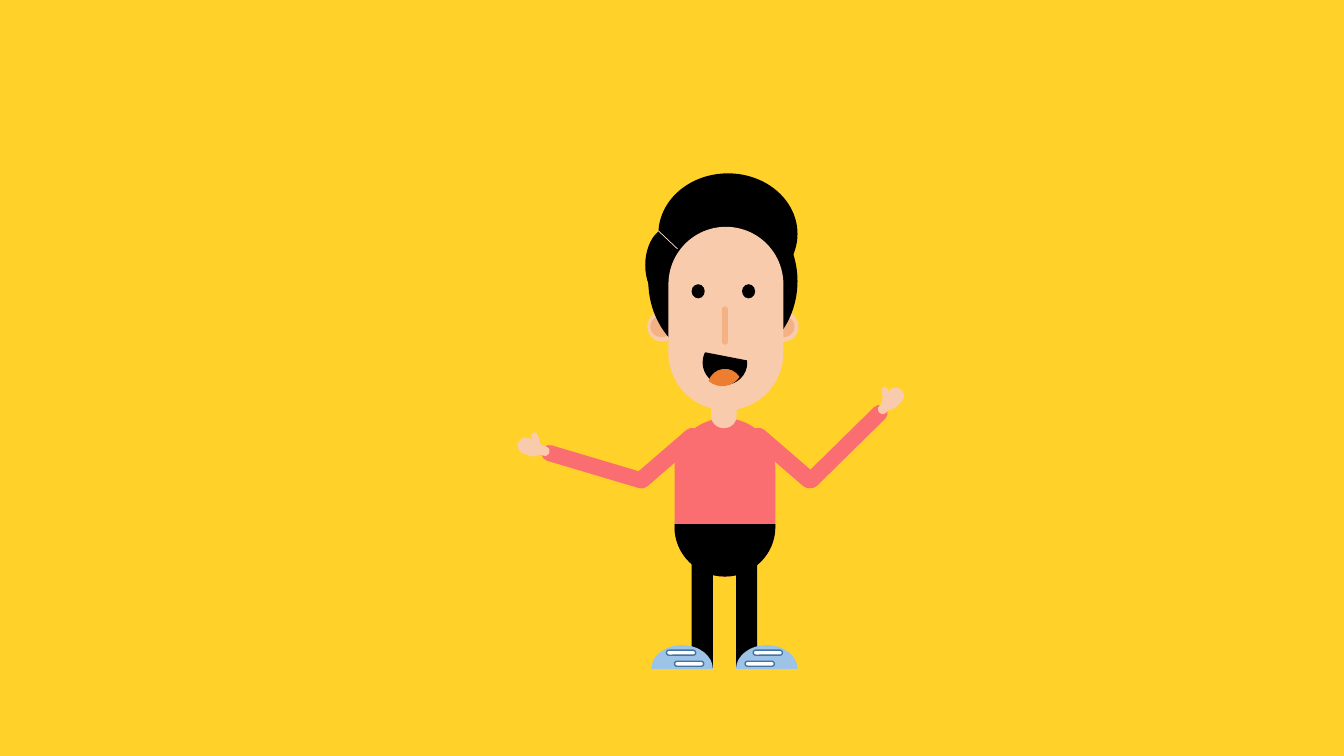
from dataclasses import dataclass
from math import ceil, cos, floor, radians, sin, tan

from lxml.etree import SubElement
from pptx import Presentation
from pptx.dml.color import RGBColor
from pptx.enum.shapes import MSO_CONNECTOR, MSO_SHAPE
from pptx.oxml.ns import qn
from pptx.util import Inches, Pt

CELLS_PER_INCH = 10  # the slide is a grid of 133.33 columns by 75 rows


@dataclass(frozen=True)
class Theme:
    """Colours and line widths of the slide."""
    backdrop: str = "FFD129"
    shirt: str = "FA6E71"
    skin: str = "F8CBAD"
    blush: str = "F4B183"
    parting: str = "FBE5D6"
    black: str = "000000"
    tongue: str = "ED7D31"
    shoe: str = "9DC3E6"
    lace: str = "FFFFFF"
    lace_edge: str = "43739E"
    edge_width: float = 1
    hairline: float = 0.5


def cells(count):
    """Turn grid cells into a length."""
    return Inches(count / CELLS_PER_INCH)


def arc(centre, radii, start, end):
    """Steps along an ellipse: its first point, then Bezier curves per quadrant."""
    def point(angle, pull=0):
        """Point at an angle, moved along the tangent by a share of the radii."""
        a = radians(angle)
        return (centre[0] + radii[0] * (cos(a) - pull * sin(a)),
                centre[1] + radii[1] * (sin(a) + pull * cos(a)))

    quadrants = range(floor(start / 90) + 1, ceil(end / 90))
    stops = [start, *(90 * quadrant for quadrant in quadrants), end]
    steps = [(point(start),)]
    for a, b in zip(stops, stops[1:]):
        pull = 4 / 3 * tan(radians(b - a) / 4)
        steps.append((point(a, pull), point(b, -pull), point(b)))
    return steps


def mirror(left, width, axis):
    """Left edge of the counterpart on the other side of an axis."""
    return 2 * axis - left - width


class Canvas:
    """Holds the theme and the current slide, and draws on a grid."""

    def __init__(self, slide, theme):
        self.slide, self.theme = slide, theme
        backdrop = slide.background.fill
        backdrop.solid()
        backdrop.fore_color.rgb = RGBColor.from_string(theme.backdrop)

    def finish(self, shape, fill, edge=None, turn=0):
        """Apply fill, edge and rotation to a shape."""
        shape.shadow.inherit = False
        shape.fill.solid()
        shape.fill.fore_color.rgb = RGBColor.from_string(fill)
        if edge:
            shape.line.color.rgb = RGBColor.from_string(edge)
            shape.line.width = Pt(self.theme.edge_width)
        else:
            shape.line.fill.background()
        shape.rotation = turn
        return shape

    def preset(self, kind, box, fill, **look):
        """Draw a preset shape in a box of left, top, width, height."""
        shape = self.slide.shapes.add_shape(kind, *map(cells, box))
        return self.finish(shape, fill, **look)

    def oval(self, box, fill):
        """Draw an ellipse."""
        return self.preset(MSO_SHAPE.OVAL, box, fill)

    def block(self, box, fill):
        """Draw a rectangle."""
        return self.preset(MSO_SHAPE.RECTANGLE, box, fill)

    def capsule(self, box, fill, rounding=0.5, **look):
        """Draw a rectangle with rounded ends."""
        shape = self.preset(MSO_SHAPE.ROUNDED_RECTANGLE, box, fill, **look)
        shape.adjustments[0] = rounding
        return shape

    def flesh(self, box, turn=0):
        """Draw a skin-coloured capsule with an edge of the same colour."""
        skin = self.theme.skin
        return self.capsule(box, skin, rounding=0.476, edge=skin, turn=turn)

    def outline(self, steps, fill, **look):
        """Draw a closed outline; one-point steps are lines, others curves."""
        corners = [(cells(x), cells(y)) for step in steps for x, y in step]
        builder = self.slide.shapes.build_freeform(*corners[0], scale=1.0)
        builder.add_line_segments(corners[1:], close=True)
        shape = builder.convert_to_shape()
        segments = iter(list(shape._element.iter(qn("a:lnTo"))))
        for step in steps[1:]:
            first, *others = [next(segments) for _ in step]
            if others:
                first.tag = qn("a:cubicBezTo")
            for other in others:
                first.append(other[0])
                other.getparent().remove(other)
        return self.finish(shape, fill, **look)

    def stroke(self, start, end, colour, width):
        """Draw a straight line."""
        line = self.slide.shapes.add_connector(
            MSO_CONNECTOR.STRAIGHT, *map(cells, (*start, *end)))
        line.line.color.rgb = RGBColor.from_string(colour)
        line.line.width = Pt(width)
        SubElement(line._element.spPr, qn("a:effectLst"))


def draw_head(canvas):
    """Draw neck, ears, hair and face."""
    theme = canvas.theme
    canvas.flesh((70.6, 39.6, 2.4, 2.8))
    canvas.oval((64, 22.5, 5, 7.6), theme.black)
    for ear in (64.2, 76.3):
        canvas.oval((ear, 30.9, 2.9, 3), theme.skin)
        canvas.oval((ear + 0.3, 31.35, 2.2, 2.1), theme.blush)
    canvas.oval((65.3, 17.2, 13.8, 12), theme.black)
    canvas.oval((64.3, 19.8, 14.8, 16.2), theme.black)
    canvas.capsule((66.3, 22.5, 11.4, 18.2), theme.skin)
    canvas.stroke((65.3, 22.9), (67.2, 24.7), theme.parting, theme.hairline)
    for eye in (68.6, 73.6):
        canvas.oval((eye, 28.2, 1.3, 1.4), theme.black)
    canvas.capsule((71.6, 30.4, 0.6, 3.8), theme.blush)

    mouth = arc((71.75, 35.95), (2.15, 2.15), -15, 195)
    canvas.outline(mouth, theme.black, edge=theme.black, turn=11)
    tongue = (arc((71.8, 38.3), (1.7, 1.7), 204.4, 335.6)
              + arc((71.8, 36.24), (2.06, 2.06), 41.3, 138.7))
    canvas.outline(tongue, theme.tongue, turn=-7.5)


def draw_leg(canvas, place):
    """Draw a leg with its laced shoe; place maps left and width to a left edge."""
    theme = canvas.theme
    canvas.block((place(68.6, 2.1), 54, 2.1, 12.3), theme.black)
    shoe_centre = place(64.6, 6.1) + 3.05
    canvas.outline(arc((shoe_centre, 66.35), (3.05, 2.35), 180, 360), theme.shoe)
    for left, top in ((66.9, 65.6), (66.1, 64.5)):
        canvas.capsule((place(left, 2.9), top, 2.9, 0.5), theme.lace,
                       edge=theme.lace_edge)


def draw_arm(canvas, upper, forearm, hand):
    """Draw an arm from boxes paired with their rotation."""
    for box, turn in (upper, forearm):
        canvas.capsule(box, canvas.theme.shirt, turn=turn)
    for box, turn in hand:
        canvas.flesh(box, turn)


def draw_person(canvas):
    """Draw the whole figure from back to front."""
    theme, axis = canvas.theme, 71.85
    canvas.capsule((66.9, 41.5, 10, 15.7), theme.shirt)
    draw_head(canvas)
    draw_leg(canvas, lambda left, width: left)
    draw_leg(canvas, lambda left, width: mirror(left, width, axis))
    draw_arm(canvas, ((73.6, 44.6, 8.3, 1.7), 40.8), ((78.3, 43.5, 11.1, 1.6), 135.5),
             hand=(((87.4, 39.6, 0.8, 1.5), 44.9),
                   ((87.8, 38.4, 1.5, 2.3), 44.9),
                   ((87.3, 38.7, 1, 0.5), 259.7)))
    draw_arm(canvas, ((62, 44.6, 8.3, 1.7), 319.2), ((53.5, 45.5, 11.1, 1.6), 196.6),
             hand=(((53.3, 43.9, 0.8, 1.5), 287.3),
                   ((51.8, 43.2, 1.5, 2.3), 287.3),
                   ((52.6, 43.2, 1, 0.5), 72.4)))
    hips = [((66.9, 52),), ((76.9, 52),), *arc((71.9, 52.3), (5, 4.9), 0, 180)]
    canvas.outline(hips, theme.black)


def main():
    """Build and save the presentation."""
    deck = Presentation()
    deck.slide_width, deck.slide_height = Inches(13.33), Inches(7.5)
    slide = deck.slides.add_slide(deck.slide_layouts[6])
    draw_person(Canvas(slide, Theme()))
    deck.save("out.pptx")


main()
